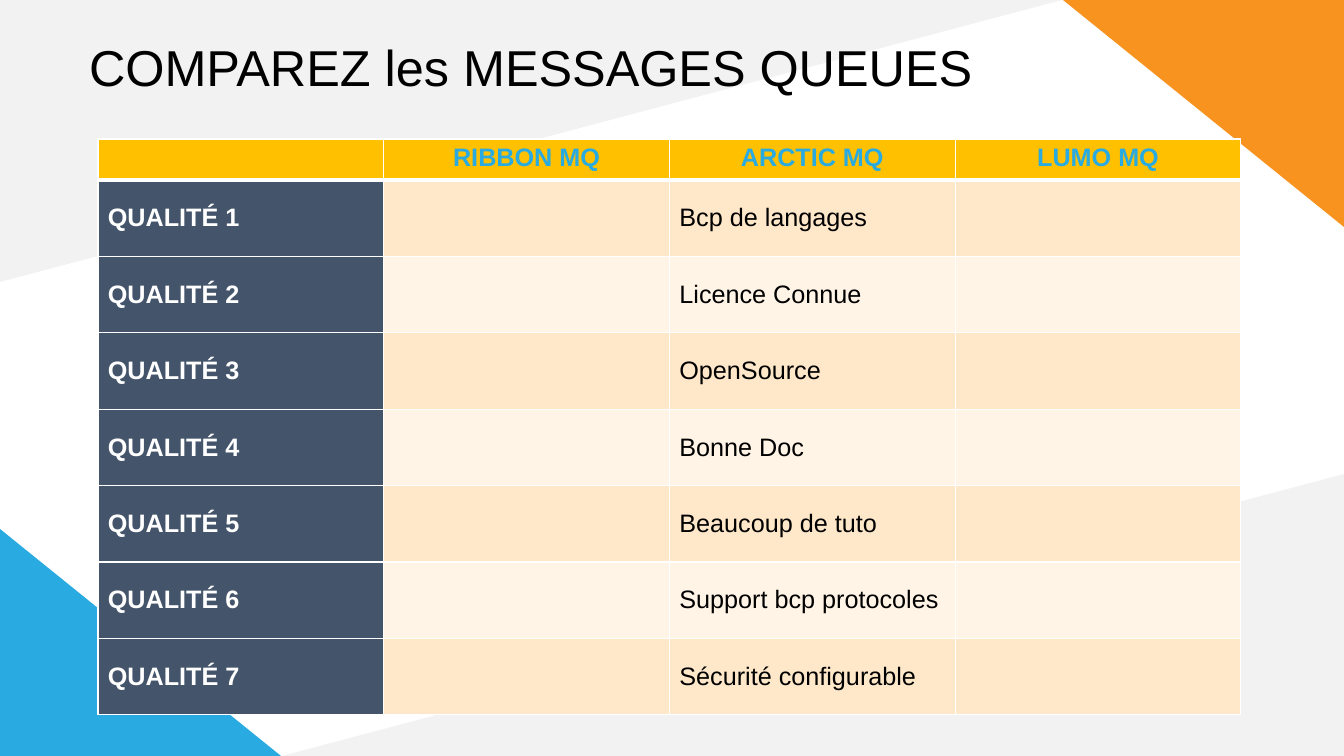
import pptx
import pptx.dml.color
import pptx.enum.shapes
import pptx.enum.text
import pptx.oxml
import pptx.oxml.ns
import pptx.util

FONT = "Arial"
WHITE, BLACK, GREY = "FFFFFF", "000000", "F2F2F2"
BLUE, ORANGE, GOLD, SLATE = "29ABE2", "F7931E", "FFC000", "44546A"
BANDS = ["FFE8CA", "FFF4E6"]
HEADS = ["", "RIBBON MQ", "ARCTIC MQ", "LUMO MQ"]
NOTES = ["Bcp de langages", "Licence Connue", "OpenSource", "Bonne Doc",
         "Beaucoup de tuto", "Support bcp protocoles", "Sécurité configurable"]
ALIGN = pptx.enum.text.PP_ALIGN
ANCHOR = pptx.enum.text.MSO_ANCHOR


def px(count):
    return pptx.util.Emu(round(count * 914400 / 100.8))


def tint(code):
    return pptx.dml.color.RGBColor.from_string(code)


class Deck:
    """Holds the style and the current slide, and draws each kind of element."""

    def __init__(self):
        self.show = pptx.Presentation()
        self.show.slide_width, self.show.slide_height = px(1344), px(756)
        self.slide = self.show.slides.add_slide(self.show.slide_layouts[5])

    def style(self, frame, size, color, bold=False, align=ALIGN.LEFT):
        for para in frame.paragraphs:
            para.alignment = align
            for run in para.runs:
                run.font.name = FONT
                run.font.size = pptx.util.Pt(size)
                run.font.bold = bold
                run.font.color.rgb = tint(color)

    def corner(self, left, top, wide, high, turn, color):
        kind = pptx.enum.shapes.MSO_SHAPE.RIGHT_TRIANGLE
        shape = self.slide.shapes.add_shape(kind, px(left), px(top), px(wide), px(high))
        shape.rotation = turn
        shape.shadow.inherit = False
        shape.fill.solid()
        shape.fill.fore_color.rgb = tint(color)
        shape.line.fill.background()

    def title(self, text, left, top, wide, high):
        title = self.slide.shapes.title
        title.left, title.top, title.width, title.height = map(px, (left, top, wide, high))
        frame = title.text_frame
        frame.text = text
        frame.word_wrap = True
        frame.auto_size = pptx.enum.text.MSO_AUTO_SIZE.NONE
        frame.vertical_anchor = ANCHOR.BOTTOM
        frame.margin_left = frame.margin_right = px(10)
        frame.margin_top = frame.margin_bottom = px(10)
        frame.paragraphs[0].line_spacing = 0.9
        self.style(frame, 36, BLACK)
        self.slide.shapes._spTree.append(title._element)

    def edges(self, cell, top, low):
        props = cell._tc.get_or_add_tcPr()
        space = pptx.oxml.ns.nsdecls("a")
        for spot, (side, width) in enumerate(zip("LRTB", (1, 1, top, low))):
            props.insert(spot, pptx.oxml.parse_xml(
                f'<a:ln{side} {space} w="{pptx.util.Pt(width)}"><a:solidFill>'
                f'<a:srgbClr val="{WHITE}"/></a:solidFill></a:ln{side}>'))

    def cell(self, cell, text, fill, color, bold, head, top):
        cell.text = text
        cell.fill.solid()
        cell.fill.fore_color.rgb = tint(fill)
        cell.margin_left = cell.margin_right = px(10)
        cell.margin_top = cell.margin_bottom = px(5)
        cell.vertical_anchor = ANCHOR.TOP if head else ANCHOR.MIDDLE
        self.style(cell.text_frame, 18, color, bold, ALIGN.CENTER if head else ALIGN.LEFT)
        self.edges(cell, top, 3 if head else 1)

    def table(self, heads, notes, left, top, wide, first, rest):
        rows = [heads] + [[f"QUALITÉ {num}", "", note, ""]
                          for num, note in enumerate(notes, 1)]
        grid = self.slide.shapes.add_table(len(rows), len(heads), px(left), px(top),
                                           px(wide), px(first + rest)).table
        for col in grid.columns:
            col.width = px(wide) // len(heads)
        for row, texts in enumerate(rows):
            head = row == 0
            grid.rows[row].height = px(first) if head else px(rest) // len(notes)
            for col, text in enumerate(texts):
                if head:
                    fill, color = GOLD, BLUE
                elif col == 0:
                    fill, color = SLATE, WHITE
                else:
                    fill, color = BANDS[(row - 1) % 2], BLACK
                self.cell(grid.cell(row, col), text, fill, color,
                          head or col == 0, head, 3 if row == 1 else 1)


def main():
    deck = Deck()
    deck.corner(390, -390, 282, 1062, 90, GREY)
    deck.corner(0, 529, 281, 227, 0, BLUE)
    deck.corner(1063, 0, 281, 227, 180, ORANGE)
    deck.corner(672, 84, 282, 1062, 270, GREY)
    deck.title("COMPAREZ les MESSAGES QUEUES", 79, 30, 937, 77)
    deck.table(HEADS, NOTES, 98, 139, 1143, 41, 535)
    deck.show.save("out.pptx")


if __name__ == "__main__":
    main()
